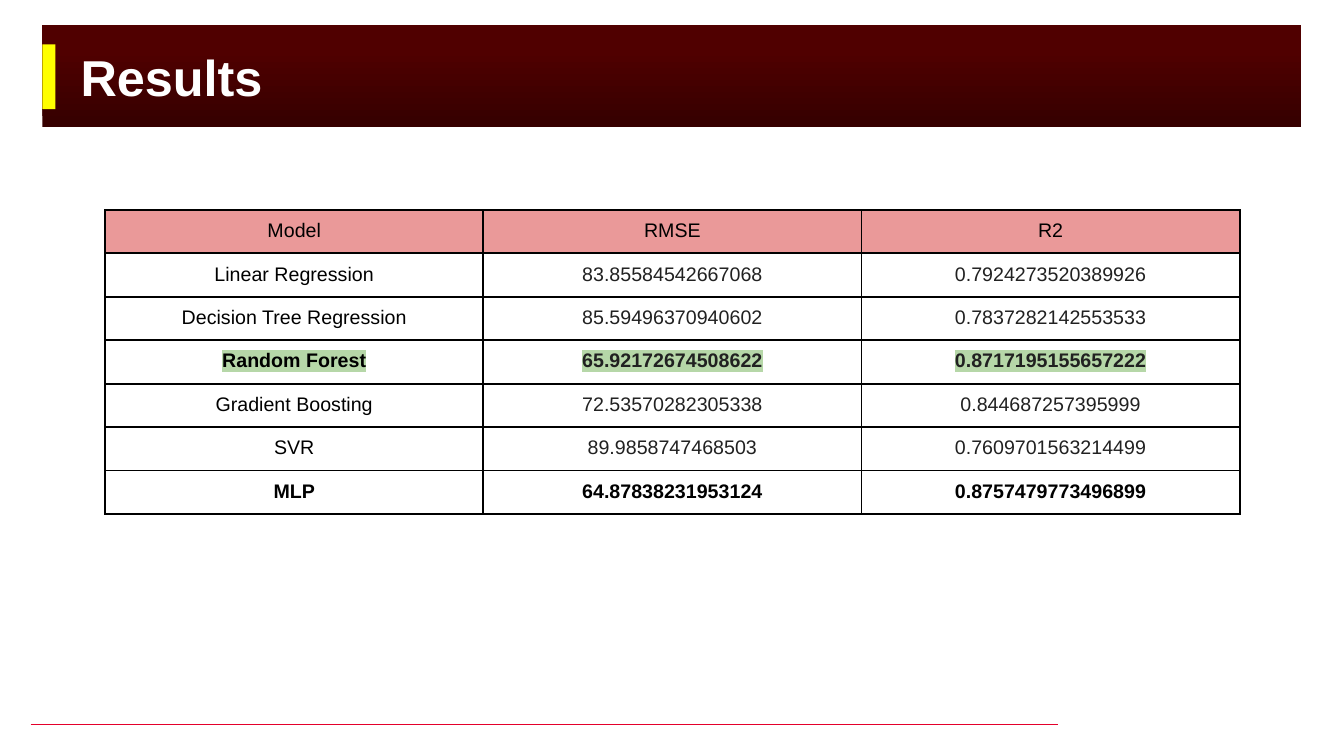
from lxml import etree
from pptx import Presentation
from pptx.dml.color import RGBColor
from pptx.enum.shapes import MSO_CONNECTOR, MSO_SHAPE
from pptx.enum.text import MSO_ANCHOR, PP_ALIGN
from pptx.oxml import parse_xml
from pptx.oxml.ns import qn
from pptx.util import Cm, Pt

STRAIGHT = MSO_CONNECTOR.STRAIGHT
RECT = MSO_SHAPE.RECTANGLE
MIDDLE = MSO_ANCHOR.MIDDLE
CENTER = PP_ALIGN.CENTER
NS = "http://schemas.openxmlformats.org/drawingml/2006/main"
PALE_RED, GREEN, BLACK, GRAY = "EA9999", "B6D7A8", "000000", "212121"


def rgb(value):
    return RGBColor.from_string(value)


def add_run(p, text, size, color, bold):
    r = p.add_run()
    r.text = text
    r.font.name = "Arial"
    r.font.size = Pt(size)
    r.font.bold = bold
    r.font.color.rgb = rgb(color)
    return r


prs = Presentation()
prs.slide_width, prs.slide_height = Cm(33.87), Cm(19.05)
s = prs.slides.add_slide(prs.slide_layouts[6])

footer = s.shapes.add_connector(STRAIGHT, Cm(0.77), Cm(18.26), Cm(26.67), Cm(18.26))
footer.line.color.rgb = rgb("E4002B")
footer.line.width = Pt(1)
etree.SubElement(footer._element.spPr, qn("a:effectLst"))

band = s.shapes.add_shape(RECT, Cm(1.07), Cm(0.64), Cm(31.72), Cm(2.57))
band.fill.gradient()
band.fill.gradient_angle = 90
for stop, (position, color) in zip(band.fill.gradient_stops, [(0.05, "370000"), (0.76, "500000")]):
    stop.position = position
    stop.color.rgb = rgb(color)

accent = s.shapes.add_shape(RECT, Cm(1.07), Cm(1.12), Cm(0.33), Cm(1.63))
accent.fill.solid()
accent.fill.fore_color.rgb = rgb("FFFF00")

for sp in (band, accent):
    sp.line.fill.background()
    sp.shadow.inherit = False

title = s.shapes.add_textbox(Cm(1.78), Cm(0.64), Cm(21.36), Cm(2.57))
tf = title.text_frame
tf.word_wrap = True
tf.vertical_anchor = MIDDLE
add_run(tf.paragraphs[0], "Results", 36, "FFFFFF", True)

results = [
    ("Model", "RMSE", "R2"),
    ("Linear Regression", "83.85584542667068", "0.7924273520389926"),
    ("Decision Tree Regression", "85.59496370940602", "0.7837282142553533"),
    ("Random Forest", "65.92172674508622", "0.8717195155657222"),
    ("Gradient Boosting", "72.53570282305338", "0.844687257395999"),
    ("SVR", "89.9858747468503", "0.7609701563214499"),
    ("MLP", "64.87838231953124", "0.8757479773496899"),
]
col_width, row_height = Cm(9.53), Cm(1.06)
table = s.shapes.add_table(
    len(results), 3, Cm(2.65), Cm(5.29), col_width * 3, row_height * len(results)
).table
table.first_row = table.horz_banding = False
for column in table.columns:
    column.width = col_width
for row in table.rows:
    row.height = row_height

for i, values in enumerate(results):
    for j, text in enumerate(values):
        cell = table.cell(i, j)
        cell.margin_left = cell.margin_right = Cm(0.25)
        cell.margin_top = cell.margin_bottom = Cm(0.25)
        tcPr = cell._tc.get_or_add_tcPr()
        for side in ("lnL", "lnR", "lnT", "lnB"):
            tcPr.append(parse_xml(
                f'<a:{side} xmlns:a="{NS}" w="{Pt(1.5)}"><a:solidFill>'
                f'<a:srgbClr val="{BLACK}"/></a:solidFill></a:{side}>'
            ))
        if i == 0:
            cell.fill.solid()
            cell.fill.fore_color.rgb = rgb(PALE_RED)
        else:
            cell.fill.background()
        p = cell.text_frame.paragraphs[0]
        p.alignment = CENTER
        measured = j > 0 and 0 < i < len(results) - 1
        r = add_run(p, text, 14, GRAY if measured else BLACK, values[0] in ("Random Forest", "MLP"))
        if values[0] == "Random Forest":
            r.font._element.find(qn("a:solidFill")).addnext(parse_xml(
                f'<a:highlight xmlns:a="{NS}"><a:srgbClr val="{GREEN}"/></a:highlight>'
            ))

prs.save("out.pptx")
